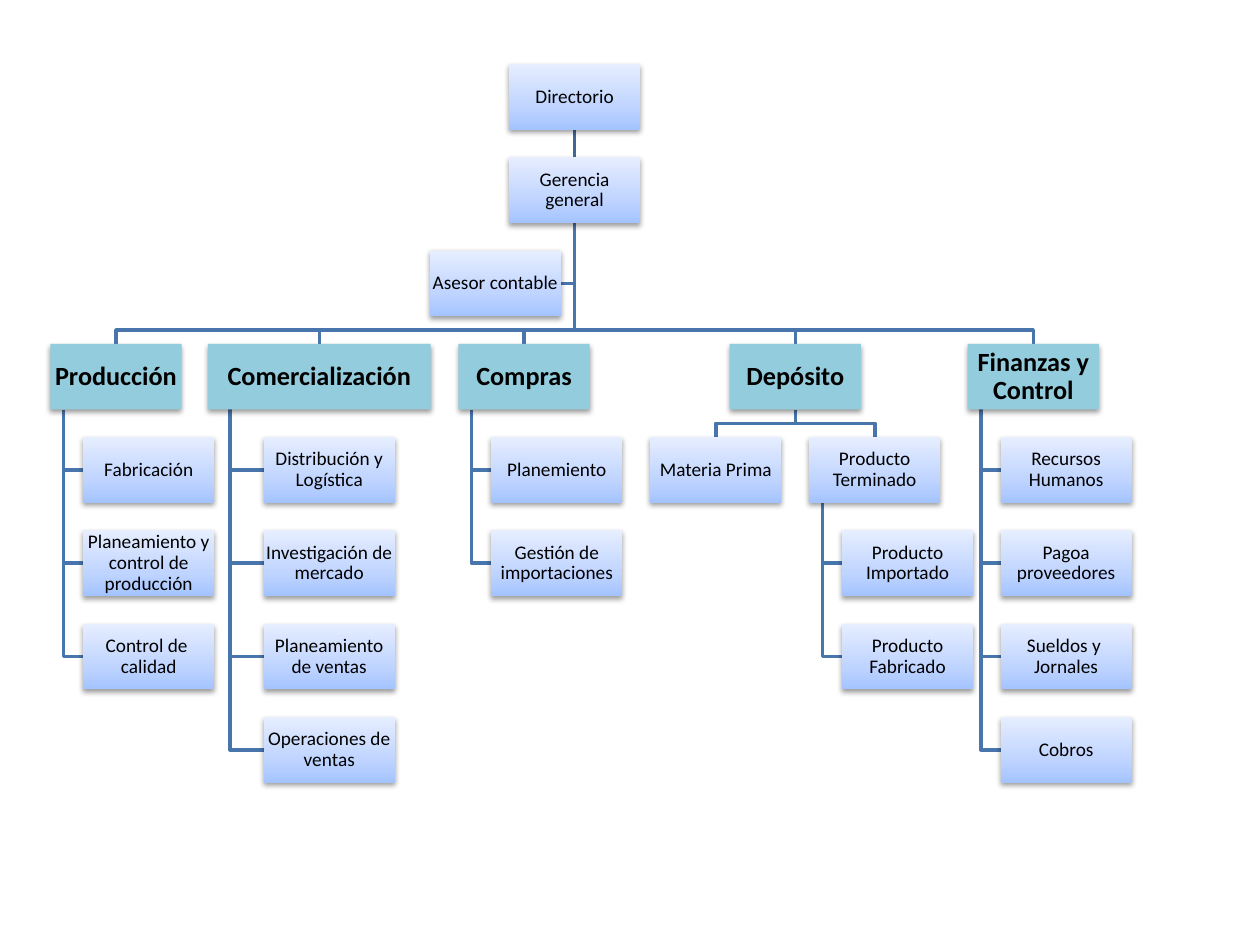
from copy import deepcopy

from pptx import Presentation
from pptx.dml.color import RGBColor
from pptx.enum.shapes import MSO_CONNECTOR, MSO_SHAPE
from pptx.enum.text import MSO_ANCHOR, PP_ALIGN
from pptx.oxml import parse_xml
from pptx.oxml.ns import nsdecls, qn
from pptx.util import Pt

RECT = MSO_SHAPE.RECTANGLE
LINE = MSO_CONNECTOR.STRAIGHT
MIDDLE = MSO_ANCHOR.MIDDLE
CENTER = PP_ALIGN.CENTER

WIDE, HIGH, GAP = 75, 37.5, 15.8
TOP, STEP = 36.6, 53.3
AXIS = 328.4
WIRE, STEM, HEAD, INK = "4875AC", "3F6797", "93CDDD", "000000"
FADE = [(0, "A4C4FF"), (0.35, "BFD4FF"), (1, "E6EEFF")]

AREAS = [
    ("Producción", 28.8, WIDE,
     ["Fabricación", "Planeamiento y control de producción", "Control de \ncalidad"]),
    ("Comercialización", 118.8, 127.4,
     ["Distribución y Logística", "Investigación de mercado",
      "Planeamiento de ventas", "Operaciones de ventas"]),
    ("Compras", 262, WIDE, ["Planemiento", "Gestión de importaciones"]),
    ("Depósito", 417, WIDE, []),
    ("Finanzas y Control", 553, WIDE,
     ["Recursos Humanos", "Pagoa proveedores", "Sueldos y \nJornales", "Cobros"]),
]
STORE = 417 + WIDE / 2
HALF = (WIDE + GAP) / 2
RAW, DONE = STORE - HALF, STORE + HALF
GOODS = ["Producto Importado", "Producto Fabricado"]


def paint(color, code):
    """Set a colour from a hex string."""
    color.rgb = RGBColor.from_string(code)


def level(row):
    """Return the top of a row of boxes."""
    return TOP + row * STEP


def wire(slide, *spots):
    """Draw an open bent line through the spots."""
    (x, y), *rest = [(Pt(a), Pt(b)) for a, b in spots]
    path = slide.shapes.build_freeform(x, y)
    path.add_line_segments(rest, close=False)
    shape = path.convert_to_shape()
    shape.fill.background()
    shape.shadow.inherit = False
    shape.line.width = Pt(2)
    paint(shape.line.color, WIRE)


def stem(slide, x, start, end):
    """Draw an upright line."""
    line = slide.shapes.add_connector(LINE, Pt(x), Pt(start), Pt(x), Pt(end))
    line.line.width = Pt(2)
    paint(line.line.color, STEM)
    line._element.spPr.append(parse_xml(f"<a:effectLst {nsdecls('a')}/>"))


def fork(slide, x, row, kid, below):
    """Link a box to the top centre of a box in a lower row."""
    end = level(below)
    bend = end - GAP / 2
    wire(slide, (x, level(row) + HIGH), (x, bend), (kid, bend), (kid, end))


def comb(slide, left, wide, row, count):
    """Link a box to the boxes that hang under it."""
    x, start = left + wide * 0.1, level(row) + HIGH
    for n in range(count, 0, -1):
        y = level(row + n) + HIGH / 2
        wire(slide, (x, start), (x, y), (left + wide * 0.25, y))


def fade(shape):
    """Fill a shape with the pale blue gradient."""
    shape.fill.gradient()
    shape.fill.gradient_angle = 90
    stops = shape._element.spPr.find(qn("a:gradFill")).find(qn("a:gsLst"))
    stops.append(deepcopy(stops[0]))
    for stop, (place, code) in zip(shape.fill.gradient_stops, FADE):
        stop.position = place
        paint(stop.color, code)


def shade(shape):
    """Give a shape a soft shadow below it."""
    shape.shadow.inherit = False
    shape._element.spPr.find(qn("a:effectLst")).append(parse_xml(
        f'<a:outerShdw {nsdecls("a")} blurRad="{Pt(3.1)}" dist="{Pt(1.6)}" '
        'dir="5400000" rotWithShape="0"><a:srgbClr val="000000">'
        '<a:alpha val="38000"/></a:srgbClr></a:outerShdw>'))


def write(shape, text, size, bold):
    """Write centred text in a shape."""
    frame = shape.text_frame
    frame.word_wrap = True
    frame.vertical_anchor = MIDDLE
    frame.margin_left = frame.margin_right = Pt(0.7)
    frame.margin_top = frame.margin_bottom = Pt(0.7)
    para = frame.paragraphs[0]
    para.alignment = CENTER
    para.line_spacing = 0.9
    for n, part in enumerate(text.split("\n")):
        if n:
            para.add_line_break()
        run = para.add_run()
        run.text = part
        run.font.name = "Calibri"
        run.font.size = Pt(size)
        run.font.bold = bold
        paint(run.font.color, INK)


def box(slide, text, left, row, wide=WIDE, head=False):
    """Draw a box of the chart, flat and bold for an area head."""
    shape = slide.shapes.add_shape(RECT, Pt(left), Pt(level(row)), Pt(wide), Pt(HIGH))
    if head:
        shape.fill.solid()
        paint(shape.fill.fore_color, HEAD)
    else:
        fade(shape)
    shape.line.fill.background()
    shade(shape)
    write(shape, text, 15 if head else 11, head)


def stack(slide, left, wide, row, names):
    """Draw the boxes that hang under a box."""
    for n, name in enumerate(names, 1):
        box(slide, name, left + wide * 0.25, row + n)


def link(slide):
    """Draw all lines of the chart."""
    y = level(2) + HIGH / 2
    wire(slide, (AXIS, level(1) + HIGH), (AXIS, y), (AXIS - GAP / 2, y))
    for name, left, wide, kids in AREAS:
        comb(slide, left, wide, 3, len(kids))
        fork(slide, AXIS, 1, left + wide / 2, 3)
    for kid in (RAW, DONE):
        fork(slide, STORE, 3, kid, 4)
    comb(slide, DONE - WIDE / 2, WIDE, 4, len(GOODS))
    stem(slide, AXIS, level(0) + HIGH, level(1))


def fill(slide):
    """Draw all boxes of the chart."""
    mid = AXIS - WIDE / 2
    box(slide, "Directorio", mid, 0)
    box(slide, "Gerencia general", mid, 1)
    box(slide, "Asesor contable", AXIS - GAP / 2 - WIDE, 2)
    for name, left, wide, kids in AREAS:
        box(slide, name, left, 3, wide, True)
        stack(slide, left, wide, 3, kids)
    box(slide, "Materia Prima", RAW - WIDE / 2, 4)
    box(slide, "Producto Terminado", DONE - WIDE / 2, 4)
    stack(slide, DONE - WIDE / 2, WIDE, 4, GOODS)


def main():
    """Build the organisation chart and save it."""
    deck = Presentation()
    deck.slide_width, deck.slide_height = Pt(720), Pt(540)
    slide = deck.slides.add_slide(deck.slide_layouts[6])
    link(slide)
    fill(slide)
    deck.save("out.pptx")


if __name__ == "__main__":
    main()
